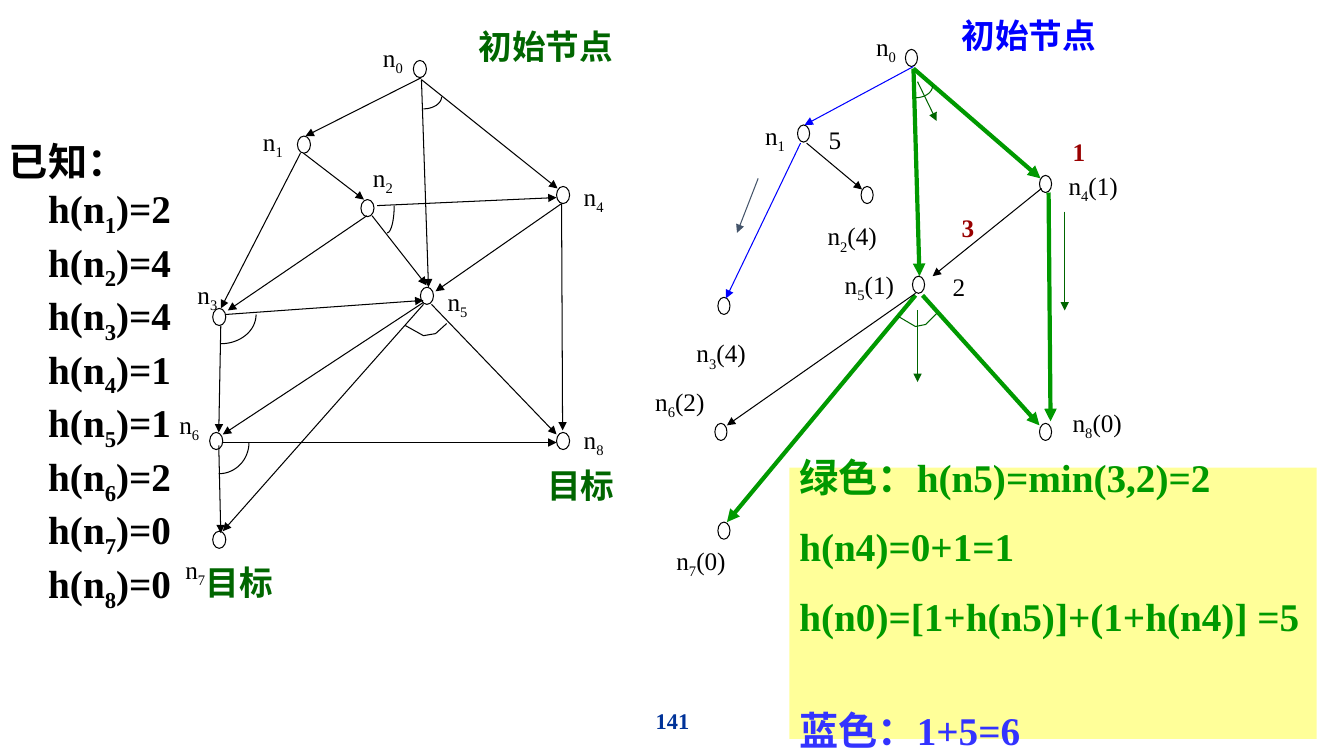
from math import cos, pi, sin

from lxml.etree import SubElement
from pptx import Presentation
from pptx.dml.color import RGBColor
from pptx.enum.shapes import MSO_CONNECTOR as Link, MSO_SHAPE as Kind
from pptx.enum.text import MSO_ANCHOR as Anchor, MSO_AUTO_SIZE as Fit, PP_ALIGN as Align
from pptx.oxml.ns import qn
from pptx.util import Cm, Pt

BLACK = RGBColor(0x00, 0x00, 0x00)
BLUE = RGBColor(0x00, 0x00, 0xFF)
PALE = RGBColor(0x33, 0x33, 0xFF)
NAVY = RGBColor(0x00, 0x33, 0x99)
GREEN = RGBColor(0x00, 0x99, 0x00)
DARK = RGBColor(0x00, 0x66, 0x00)
RED = RGBColor(0x99, 0x00, 0x00)
SLATE = RGBColor(0x44, 0x54, 0x6A)
CREAM = RGBColor(0xFF, 0xFF, 0x99)


def cm(inch):
    return Cm(inch * 2.54)


class Sketch:
    font = "Times New Roman"
    thin = 0.75
    thick = 3

    def __init__(self, slide):
        self.shapes = slide.shapes

    def node(self, x, y, width):
        dot = self.shapes.add_shape(Kind.OVAL, cm(x), cm(y), cm(width), cm(0.17))
        dot.shadow.inherit = False
        dot.fill.background()
        dot.line.color.rgb = BLACK
        dot.line.width = Pt(self.thin)

    def arrow(self, x1, y1, x2, y2, color=BLACK, width=thin):
        link = self.shapes.add_connector(Link.STRAIGHT, cm(x1), cm(y1), cm(x2), cm(y2))
        link.line.color.rgb = color
        link.line.width = Pt(width)
        SubElement(link.line._get_or_add_ln(), qn("a:tailEnd"), type="triangle")
        SubElement(link._element.spPr, qn("a:effectLst"))

    def trace(self, points, color=BLACK):
        spots = [(cm(x), cm(y)) for x, y in points]
        pen = self.shapes.build_freeform(*spots[0])
        pen.add_line_segments(spots[1:], close=False)
        path = pen.convert_to_shape()
        path.shadow.inherit = False
        path.fill.background()
        path.line.color.rgb = color
        path.line.width = Pt(self.thin)

    def arc(self, x, y, width, height, color=BLACK, steps=16):
        turns = [pi / 2 * i / steps for i in range(steps + 1)]
        self.trace([(x + width * sin(t), y + height * cos(t)) for t in turns], color)

    def run(self, para, text, size, color, bold=False, sub=False):
        run = para.add_run()
        run.text = text
        font = run.font
        font.name = self.font
        font.size = Pt(size)
        font.bold = bold
        font.color.rgb = color
        if sub:
            run._r.get_or_add_rPr().set("baseline", "-25000")

    def index(self, para, parts, size, color, bold=False):
        for i, part in enumerate(parts):
            self.run(para, part, size, color, bold, i == 1)

    def frame(self, x, y, width, height, wrap=False):
        box = self.shapes.add_textbox(cm(x), cm(y), cm(width), cm(height)).text_frame
        box.word_wrap = wrap
        box.auto_size = Fit.SHAPE_TO_FIT_TEXT
        box.vertical_anchor = Anchor.MIDDLE
        return box

    def text(self, x, y, width, height, text, size, color, bold=False):
        para = self.frame(x, y, width, height).paragraphs[0]
        self.run(para, text, size, color, bold)
        return para

    def label(self, x, y, *parts):
        box = self.frame(x, y, 0.41 if len(parts) == 1 else 0.7, 0.4)
        self.index(box.paragraphs[0], ("n",) + parts, 18, BLACK)

    def panel(self, x, y, width, height, lines):
        box = self.shapes.add_shape(Kind.RECTANGLE, cm(x), cm(y), cm(width), cm(height))
        box.shadow.inherit = False
        box.fill.solid()
        box.fill.fore_color.rgb = CREAM
        box.line.fill.background()
        frame = box.text_frame
        frame.word_wrap = True
        frame.vertical_anchor = Anchor.MIDDLE
        for i, (text, color, gap) in enumerate(lines):
            para = frame.add_paragraph() if i else frame.paragraphs[0]
            para.alignment = Align.LEFT
            if i:
                para.space_before = Pt(gap)
            self.run(para, text, 28, color, True)

    def known(self, x, y, width, height, head, costs):
        box = self.frame(x, y, width, height, True)
        self.run(box.paragraphs[0], head, 28, BLACK, True)
        for i, cost in enumerate(costs, 1):
            para = box.add_paragraph()
            para._p.get_or_add_pPr().set("marL", str(Cm(0.99)))
            self.index(para, ("h(n", str(i), f")={cost}"), 28, BLACK, True)


def draw_right(art):
    for x, y in [(8.98, 0.49), (7.91, 1.24), (9.05, 2.74), (10.31, 1.74), (8.54, 1.85),
                 (7.12, 2.95), (7.09, 4.2), (10.31, 4.2), (7.12, 5.18)]:
        art.node(x, y, 0.12)
    for ends in [(9.06, 0.66, 7.98, 1.24), (7.94, 1.42, 7.2, 2.96)]:
        art.arrow(*ends, BLUE)
    for ends in [(9.06, 0.68, 9.12, 2.74), (9.06, 0.68, 10.32, 1.77), (9.08, 2.93, 7.21, 5.18),
                 (9.15, 2.93, 10.31, 4.22), (10.4, 1.91, 10.42, 4.18)]:
        art.arrow(*ends, GREEN, art.thick)
    for ends in [(8, 1.42, 8.55, 1.88), (9.08, 2.91, 7.21, 4.22), (10.33, 1.87, 9.25, 2.74)]:
        art.arrow(*ends)
    for ends in [(9.1, 0.81, 9.29, 1.2), (9.1, 3.08, 9.1, 3.79), (10.56, 2.1, 10.56, 3.08)]:
        art.arrow(*ends, DARK)
    art.arrow(7.52, 1.77, 7.31, 2.31, SLATE)
    art.arc(9.08, 0.85, 0.17, 0.12, DARK)
    art.trace([(8.91, 3.14), (9.08, 3.24), (9.18, 3.22), (9.29, 3.11)], DARK)
    art.label(8.59, 0.28, "0")
    art.label(7.49, 1.16, "1")
    for x, y, sub, cost in [(8.11, 2.16, 2, 4), (6.81, 3.32, 3, 4), (10.5, 1.66, 4, 1),
                            (8.28, 2.64, 5, 1), (6.4, 3.8, 6, 2), (6.61, 5.38, 7, 0),
                            (10.54, 4.01, 8, 0)]:
        art.label(x, y, str(sub), f"({cost})")
    for x, y, cost, color in [(8.12, 1.18, "5", BLACK), (9.35, 2.64, "2", BLACK),
                              (10.54, 1.3, "1", RED), (9.44, 2.06, "3", RED)]:
        art.text(x, y, 0.33, 0.4, cost, 18, color, color == RED)
    art.text(9.44, 0.1, 1.54, 0.5, "初始节点", 24, BLUE, True)
    art.panel(7.83, 4.64, 5.23, 2.69, [
        ("绿色：h(n5)=min(3,2)=2", GREEN, 0),
        ("h(n4)=0+1=1", GREEN, 16),
        ("h(n0)=[1+h(n5)]+(1+h(n4)] =5", GREEN, 16),
        ("蓝色：1+5=6", PALE, 48)])


def draw_left(art):
    for x, y in [(4.1, 0.6), (2.95, 1.35), (3.58, 1.98), (4.17, 2.85), (5.52, 1.85),
                 (2.11, 3.06), (2.08, 4.29), (5.52, 4.29), (2.11, 5.27)]:
        art.node(x, y, 0.13)
    for ends in [(4.18, 0.77, 3.03, 1.35), (4.18, 0.79, 4.25, 2.85), (4.18, 0.79, 5.53, 1.87),
                 (2.98, 1.52, 2.19, 3.06), (3.01, 1.52, 3.61, 1.98), (3.69, 2.14, 4.23, 2.83),
                 (3.74, 2.04, 5.52, 1.96), (2.24, 3.12, 4.2, 2.98), (2.19, 3.23, 2.17, 4.29),
                 (5.57, 2.02, 4.32, 2.89), (5.57, 2.02, 5.58, 4.27), (4.2, 3, 2.21, 4.31),
                 (4.2, 3.02, 2.21, 5.27), (4.28, 3.02, 5.52, 4.31), (2.21, 4.39, 5.52, 4.39),
                 (2.17, 4.42, 2.19, 5.29), (3.64, 2.14, 2.26, 3.08)]:
        art.arrow(*ends)
    for curve in [(4.2, 0.96, 0.18, 0.12), (3.84, 2.04, 0.07, 0.27), (2.19, 3.12, 0.35, 0.29),
                  (2.17, 4.39, 0.3, 0.31)]:
        art.arc(*curve)
    art.trace([(4.02, 3.23), (4.2, 3.33), (4.32, 3.31), (4.43, 3.21)])
    spots = [(3.7, 0.39), (2.51, 1.22), (3.6, 1.58), (1.86, 2.74), (5.69, 1.77),
             (4.34, 2.81), (1.68, 4.03), (1.74, 5.47), (5.69, 4.18)]
    for i, (x, y) in enumerate(spots):
        art.label(x, y, str(i))
    for x, y, width, text in [(1.94, 5.52, 0.87, "目标"), (5.33, 4.56, 0.87, "目标"),
                              (4.65, 0.21, 1.54, "初始节点")]:
        art.text(x, y, width, 0.5, text, 24, DARK, True)
    art.known(-0.01, 1.55, 2.03, 4.34, "已知：", [2, 4, 4, 1, 1, 2, 0, 0])


def main():
    deck = Presentation()
    deck.slide_width = cm(13.33)
    deck.slide_height = cm(7.5)
    art = Sketch(deck.slides.add_slide(deck.slide_layouts[6]))
    page = art.text(4.42, 6.95, 4.5, 0.4, "141", 16, NAVY, True)
    page.alignment = Align.CENTER
    draw_right(art)
    draw_left(art)
    deck.save("out.pptx")


if __name__ == "__main__":
    main()
